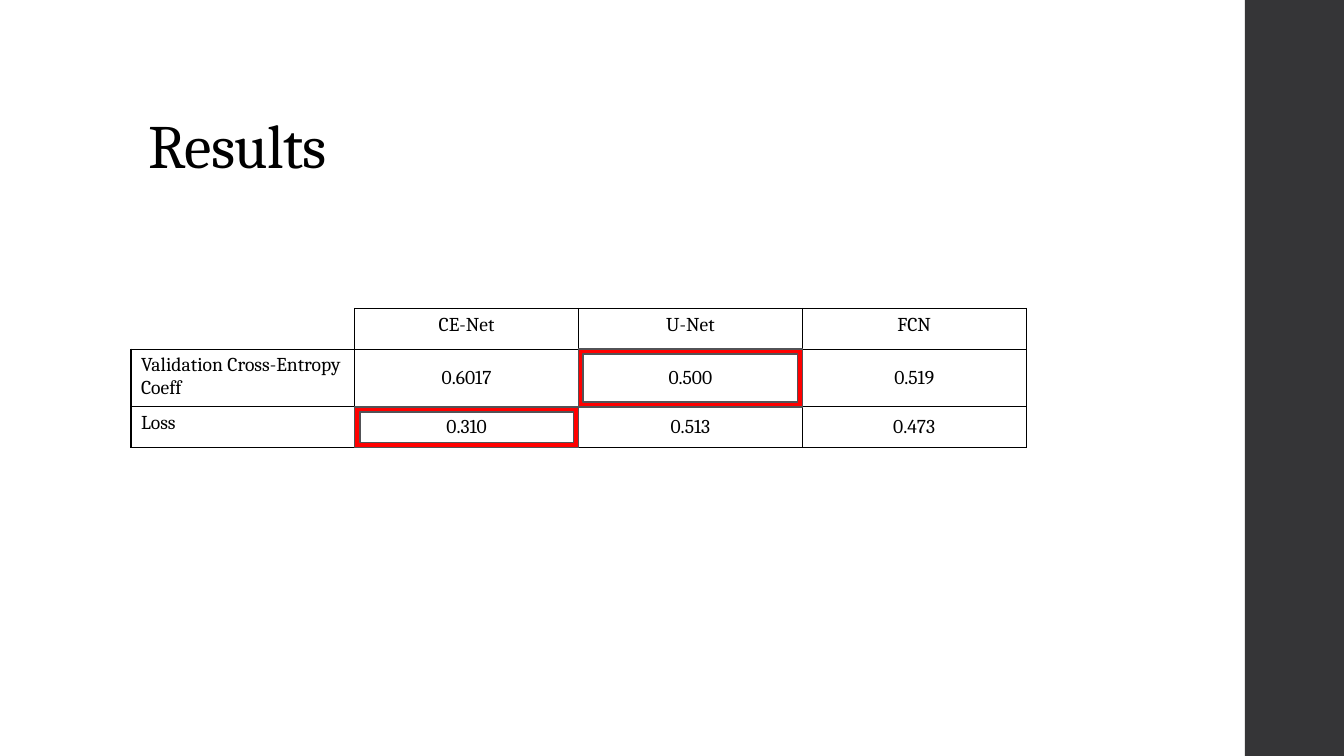
import pptx
import pptx.util
import pptx.dml.color
import pptx.enum.shapes
import pptx.enum.text
import pptx.oxml
import pptx.oxml.ns
from dataclasses import dataclass

Cm = pptx.util.Cm
Pt = pptx.util.Pt
ALIGN = pptx.enum.text.PP_ALIGN
ANCHOR = pptx.enum.text.MSO_ANCHOR
SHAPE = pptx.enum.shapes.MSO_SHAPE

TITLE = "Results"
ROWS = [
    ["", "CE-Net", "U-Net", "FCN"],
    ["Validation Cross-Entropy Coeff", "0.6017", "0.500", "0.519"],
    ["Loss", "0.310", "0.513", "0.473"],
]
BEST_CELLS = [
    {"row": 2, "column": 1, "drop": 0.06, "height": 1.02, "thickness": 0.125},
    {"row": 1, "column": 2, "drop": 0, "height": 1.45, "thickness": 0.083},
]

SLIDE_WIDTH, SLIDE_HEIGHT = 33.87, 19.05
SIDEBAR_LEFT, SIDEBAR_WIDTH = 31.37, 2.5
TITLE_BOX = (3.5, 1.02, 26.92, 3.68)
TABLE_LEFT, TABLE_TOP = 3.3, 7.77
COLUMN_WIDTH = 5.64
ROW_HEIGHTS = [1.03, 1.4, 1.03]


@dataclass(frozen=True)
class Theme:
    font: str = "Cambria"
    text: str = "000000"
    background: str = "FFFFFF"
    sidebar: str = "353537"
    highlight: str = "FF0000"
    highlight_line: str = "525256"
    title_size: float = 44
    table_size: float = 14
    border_width: float = 1
    highlight_width: float = 1.1


THEME = Theme()


def color(value):
    return pptx.dml.color.RGBColor.from_string(value)


def add_run(para, text, size):
    span = para.add_run()
    span.text = text
    span.font.name = THEME.font
    span.font.size = Pt(size)
    span.font.color.rgb = color(THEME.text)
    return span


def add_block(page, kind, left, top, width, height, fill):
    shape = page.shapes.add_shape(kind, Cm(left), Cm(top), Cm(width), Cm(height))
    shape.shadow.inherit = False
    shape.fill.solid()
    shape.fill.fore_color.rgb = color(fill)
    shape.line.fill.background()
    return shape


def add_title(page):
    box = page.shapes.add_textbox(*map(Cm, TITLE_BOX))
    frame = box.text_frame
    frame.word_wrap = True
    frame.vertical_anchor = ANCHOR.BOTTOM
    para = frame.paragraphs[0]
    para.line_spacing = 0.9
    span = add_run(para, TITLE, THEME.title_size)
    span.font._element.set("spc", "-50")


def set_borders(cell, visible):
    properties = cell._tc.get_or_add_tcPr()
    namespace = pptx.oxml.ns.nsdecls("a")
    for index, side in enumerate("LRTB"):
        paint = "<a:noFill/>"
        if side in visible:
            paint = f'<a:solidFill><a:srgbClr val="{THEME.text}"/></a:solidFill>'
        line = pptx.oxml.parse_xml(
            f'<a:ln{side} {namespace} w="{Pt(THEME.border_width)}">{paint}</a:ln{side}>'
        )
        properties.insert(index, line)


def add_results(page):
    table = page.shapes.add_table(
        len(ROWS), len(ROWS[0]), Cm(TABLE_LEFT), Cm(TABLE_TOP),
        Cm(COLUMN_WIDTH * len(ROWS[0])), Cm(sum(ROW_HEIGHTS)),
    ).table
    table.first_row = False
    table.horz_banding = False
    for column in table.columns:
        column.width = Cm(COLUMN_WIDTH)
    for r, values in enumerate(ROWS):
        table.rows[r].height = Cm(ROW_HEIGHTS[r])
        for c, value in enumerate(values):
            cell = table.cell(r, c)
            cell.fill.background()
            set_borders(cell, "LRTB" if value else "RB")
            if not value:
                continue
            cell.vertical_anchor = ANCHOR.MIDDLE if r and c else ANCHOR.TOP
            para = cell.text_frame.paragraphs[0]
            para.alignment = ALIGN.CENTER if c else ALIGN.LEFT
            add_run(para, value, THEME.table_size)


def add_highlight(page, best):
    left = TABLE_LEFT + COLUMN_WIDTH * best["column"]
    top = TABLE_TOP + sum(ROW_HEIGHTS[:best["row"]]) + best["drop"]
    shape = add_block(page, SHAPE.FRAME, left, top, COLUMN_WIDTH, best["height"],
                      THEME.highlight)
    shape.adjustments[0] = best["thickness"]
    shape.line.color.rgb = color(THEME.highlight_line)
    shape.line.width = Pt(THEME.highlight_width)


def main():
    deck = pptx.Presentation()
    deck.slide_width, deck.slide_height = Cm(SLIDE_WIDTH), Cm(SLIDE_HEIGHT)
    page = deck.slides.add_slide(deck.slide_layouts[6])
    page.background.fill.solid()
    page.background.fill.fore_color.rgb = color(THEME.background)
    add_block(page, SHAPE.RECTANGLE, SIDEBAR_LEFT, 0, SIDEBAR_WIDTH, SLIDE_HEIGHT,
              THEME.sidebar)
    add_title(page)
    add_results(page)
    for best in BEST_CELLS:
        add_highlight(page, best)
    deck.save("out.pptx")


if __name__ == "__main__":
    main()
